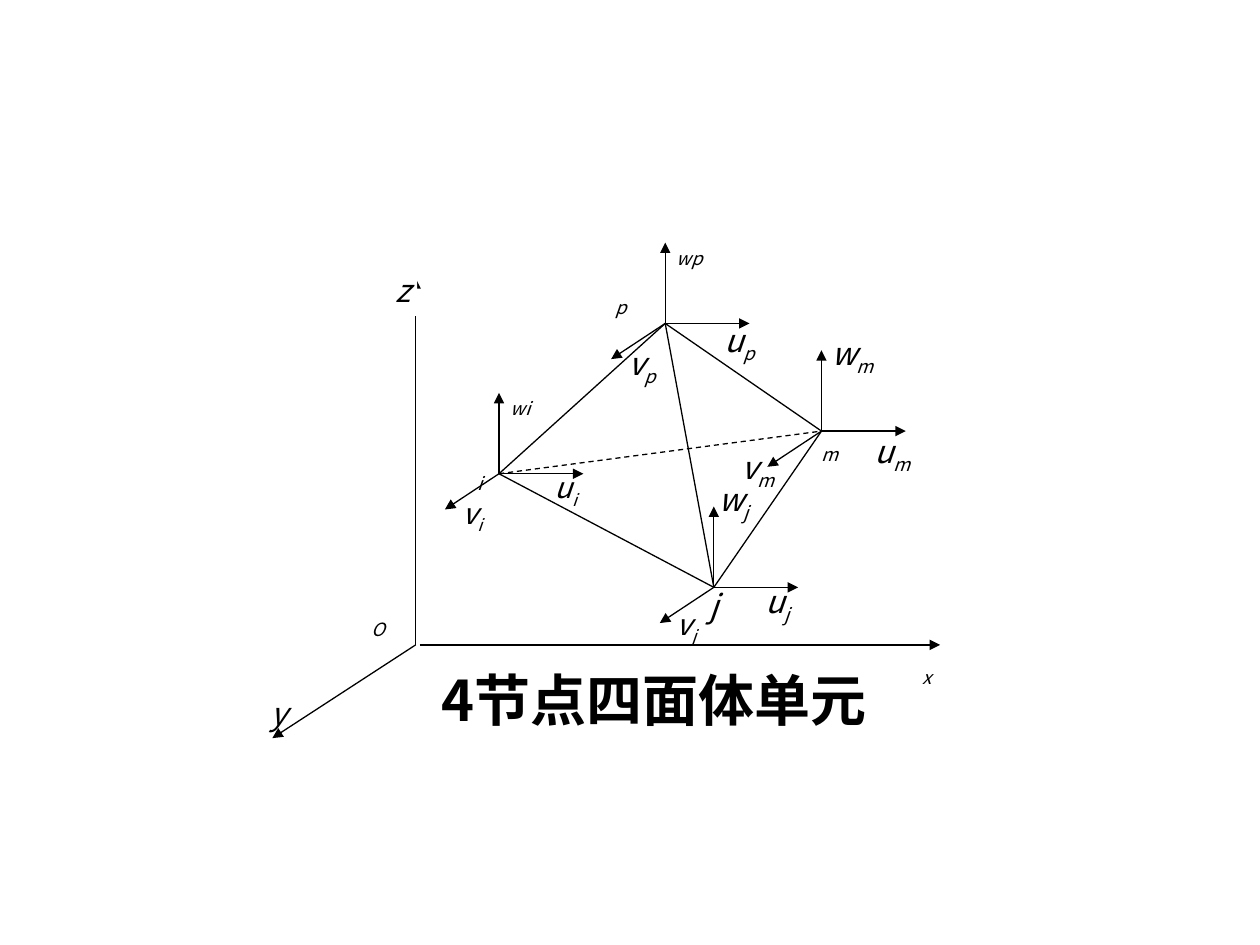
from lxml import etree
from pptx import Presentation
from pptx.dml.color import RGBColor
from pptx.enum.dml import MSO_LINE
from pptx.enum.shapes import MSO_CONNECTOR
from pptx.enum.text import MSO_ANCHOR, MSO_AUTO_SIZE, PP_ALIGN
from pptx.oxml.ns import qn
from pptx.util import Cm, Pt

STRAIGHT = MSO_CONNECTOR.STRAIGHT
DASH = MSO_LINE.DASH
TOP = MSO_ANCHOR.TOP
FIT_SHAPE = MSO_AUTO_SIZE.SHAPE_TO_FIT_TEXT
LEFT, CENTER, JUSTIFY = PP_ALIGN.LEFT, PP_ALIGN.CENTER, PP_ALIGN.JUSTIFY

FONT = "Noto Sans CJK SC"
COLORS = {"ink": "000000", "paper": "FFFFFF"}

U_LENGTH = 1.7
W_LENGTH = 1.63
V_REACH = (-1.09, 0.72)

NODES = {
    "i": (5.06, 5.05),
    "p": (8.41, 2.02),
    "m": (11.56, 4.19),
    "j": (9.39, 7.34),
}
EDGES = [("m", "j"), ("j", "i"), ("i", "m"), ("p", "i"), ("p", "j"), ("p", "m")]
HIDDEN_EDGE = ("i", "m")

# base, subscript, offset from node, size, points, alignment
NODE_LABELS = {
    "i": [
        ("", "i", (-0.43, -0.46), (0.25, 1.02), 18, JUSTIFY),
        ("u", "i", (1.12, -0.08), (0.58, 0.99), 16.6, JUSTIFY),
        ("v", "i", (-0.74, 0.43), (0.58, 1.04), 16.6, JUSTIFY),
        ("", "wi", (0.23, -1.96), (0.76, 1.07), 18, JUSTIFY),
    ],
    "p": [
        ("", "p", (-1.01, -0.98), (0.53, 1.09), 18, JUSTIFY),
        ("u", "p", (1.2, -0.04), (0.79, 1.3), 18, JUSTIFY),
        ("v", "p", (-0.74, 0.41), (0.84, 1.22), 18, JUSTIFY),
        ("", "wp", (0.23, -1.97), (0.76, 1.22), 18, JUSTIFY),
    ],
    "m": [
        ("", "m", (0, -0.18), (0.58, 0.97), 18, JUSTIFY),
        ("u", "m", (1.07, 0.02), (0.97, 1.19), 18, JUSTIFY),
        ("v", "m", (-1.62, 0.35), (0.81, 1.14), 18, JUSTIFY),
        ("w", "m", (0.2, -1.96), (1.07, 1.17), 18, JUSTIFY),
    ],
    "j": [
        ("j", "", (-0.45, -0.03), (0.89, 1.14), 18, CENTER),
        ("u", "j", (1.05, -0.11), (0.71, 1.17), 18, JUSTIFY),
        ("v", "j", (-0.75, 0.38), (0.58, 1.04), 16.6, JUSTIFY),
        ("w", "j", (0.09, -2.16), (0.76, 1.19), 18, JUSTIFY),
    ],
}


def shift(point, offset):
    return point[0] + offset[0], point[1] + offset[1]


def color(name):
    return RGBColor.from_string(COLORS[name])


def add_run(paragraph, text, points, bold=False, italic=False, subscript=False):
    run = paragraph.add_run()
    run.text = text
    run.font.size = Pt(points)
    run.font.bold = bold
    run.font.italic = italic
    run.font.name = FONT
    run.font.color.rgb = color("ink")
    properties = run._r.get_or_add_rPr()
    etree.SubElement(properties, qn("a:ea")).set("typeface", FONT)
    if subscript:
        properties.set("baseline", "-25000")


def add_line(shapes, start, end, arrow=False, dashed=False):
    points = [Cm(value) for value in (*start, *end)]
    connector = shapes.add_connector(STRAIGHT, *points)
    connector.line.color.rgb = color("ink")
    connector.line.width = Pt(0.75)
    if dashed:
        connector.line.dash_style = DASH
    if arrow:
        tail = etree.SubElement(connector.line._get_or_add_ln(), qn("a:tailEnd"))
        tail.set("type", "triangle")
    etree.SubElement(connector._element.spPr, qn("a:effectLst"))


def add_label(shapes, base, subscript, corner, size, points=18, alignment=JUSTIFY):
    label = shapes.add_textbox(*[Cm(value) for value in (*corner, *size)])
    frame = label.text_frame
    frame.word_wrap = True
    frame.margin_left = frame.margin_right = 0
    frame.margin_top = frame.margin_bottom = 0
    paragraph = frame.paragraphs[0]
    paragraph.alignment = alignment
    if base:
        add_run(paragraph, base, points, italic=True)
    if subscript:
        add_run(paragraph, subscript, points, italic=True, subscript=True)
    return label


def draw_axes(shapes, box):
    origin = shift(box, (3.38, 8.5))
    add_line(shapes, origin, shift(box, (3.38, 1.11)), arrow=True)
    add_line(shapes, shift(origin, (0.08, 0)), shift(box, (13.95, 8.5)), arrow=True)
    add_line(shapes, origin, shift(box, (0.49, 10.38)), arrow=True)
    add_label(shapes, "", "x", shift(box, (12.98, 8.5)), (1.4, 1.47), alignment=CENTER)
    add_label(shapes, "", "O", shift(box, (2.49, 7.54)), (0.46, 0.97))
    add_label(shapes, "y", "", shift(box, (0.18, 9.5)), (0.86, 1.14), alignment=CENTER)
    z_label = add_label(shapes, "z", "", shift(box, (2.98, 0.96)), (0.43, 0.91))
    z_label.fill.solid()
    z_label.fill.fore_color.rgb = color("paper")


def draw_node(shapes, node, labels):
    for reach in (V_REACH, (U_LENGTH, 0), (0, -W_LENGTH)):
        add_line(shapes, node, shift(node, reach), arrow=True)
    for base, subscript, offset, size, points, alignment in labels:
        add_label(shapes, base, subscript, shift(node, offset), size, points, alignment)


def draw_tetrahedron(shapes, box):
    nodes = {name: shift(box, offset) for name, offset in NODES.items()}
    for edge in EDGES:
        start, end = edge
        add_line(shapes, nodes[start], nodes[end], dashed=edge == HIDDEN_EDGE)
    for name, node in nodes.items():
        draw_node(shapes, node, NODE_LABELS[name])


def place_caption(title, box):
    title.left, title.top = Cm(box[0]), Cm(box[1])
    title.width, title.height = Cm(9.37), Cm(1.63)
    frame = title.text_frame
    frame.word_wrap = False
    frame.auto_size = FIT_SHAPE
    frame.vertical_anchor = TOP
    paragraph = frame.paragraphs[0]
    paragraph.alignment = LEFT
    add_run(paragraph, "4节点四面体单元", 32, bold=True)


def main():
    presentation = Presentation()
    presentation.slide_width, presentation.slide_height = Cm(25.4), Cm(19.05)
    slide = presentation.slides.add_slide(presentation.slide_layouts[5])
    diagram = slide.shapes.add_group_shape()
    box = (5, 4.5)
    draw_axes(diagram.shapes, box)
    draw_tetrahedron(diagram.shapes, box)
    place_caption(slide.shapes.title, (8.64, 13.28))
    presentation.save("out.pptx")


if __name__ == "__main__":
    main()
